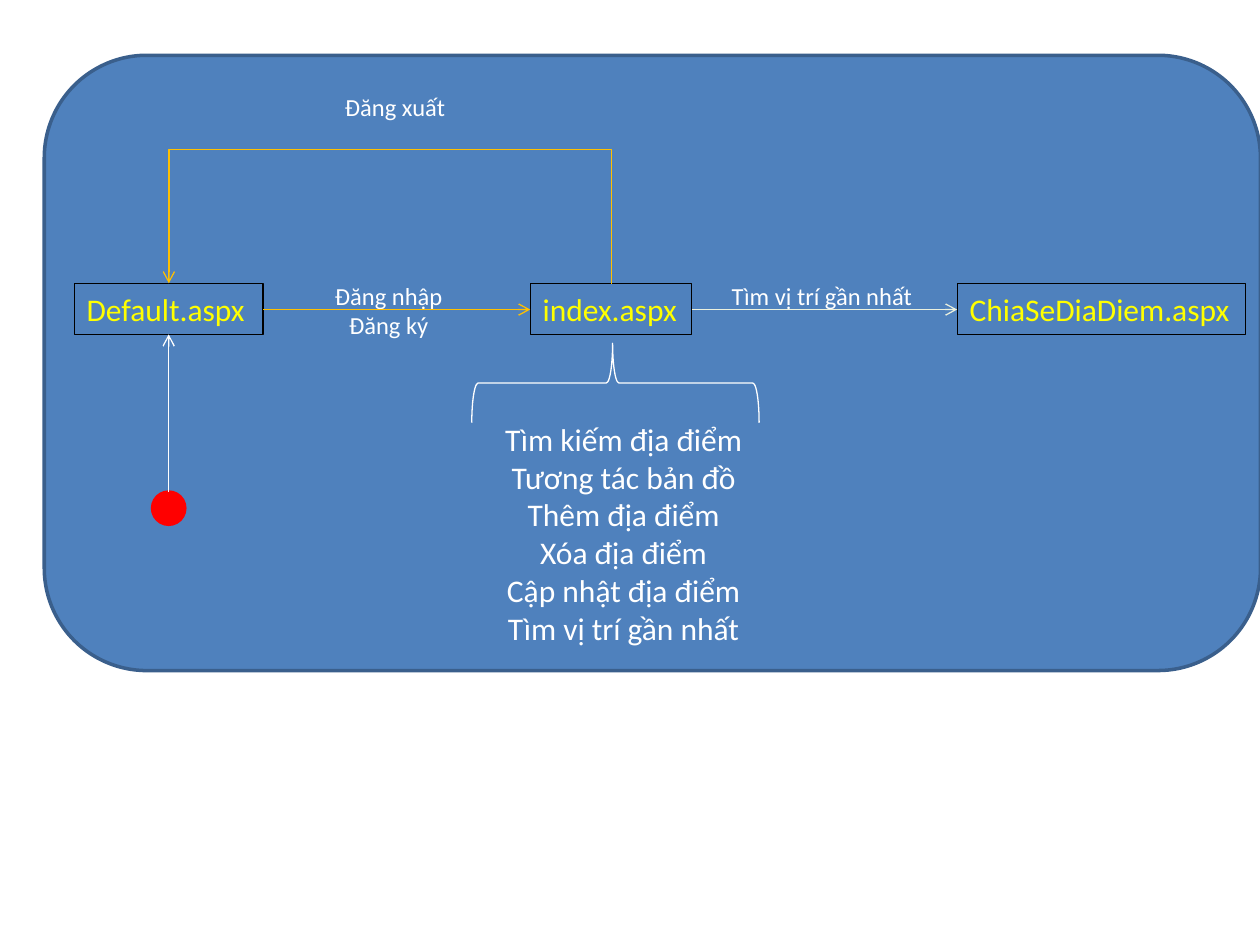
"""Build the page navigation diagram of the location sharing site."""
from lxml import etree
from pptx import Presentation, util as u
from pptx.dml import color
from pptx.enum import shapes, text
from pptx.oxml import ns

Pt = u.Pt
COLORS = {"panel": "4F81BD", "panel_edge": "3A5F8C", "page": "FFFF00", "black": "000000",
          "white": "FFFFFF", "account": "FFC000", "nearest": "EBF1DE", "start": "FF0000"}


def add_item(kind, box, lines=(), size=18, ink="white", fill=None, edge=None, weight=0.75, centered=()):
    box = [Pt(value) for value in box]
    if kind is None:
        shape = slide.shapes.add_textbox(*box)
    else:
        shape = slide.shapes.add_shape(kind, *box)
        shape.shadow.inherit = False
    if fill:
        shape.fill.solid()
        shape.fill.fore_color.rgb = color.RGBColor.from_string(COLORS[fill])
    else:
        shape.fill.background()
    if edge:
        shape.line.color.rgb = color.RGBColor.from_string(COLORS[edge])
        shape.line.width = Pt(weight)
    frame = shape.text_frame
    frame.word_wrap = False
    frame.vertical_anchor = text.MSO_ANCHOR.TOP
    for index, line in enumerate(lines):
        paragraph = frame.paragraphs[0] if index == 0 else frame.add_paragraph()
        paragraph.alignment = text.PP_ALIGN.CENTER if index in centered else text.PP_ALIGN.LEFT
        run = paragraph.add_run()
        run.text = line
        run.font.name = "Calibri"
        run.font.size = Pt(size)
        run.font.color.rgb = color.RGBColor.from_string(COLORS[ink])
    return shape


def add_arrow(kind, points, ink):
    connector = slide.shapes.add_connector(kind, *[Pt(value) for value in points])
    connector.line.color.rgb = color.RGBColor.from_string(COLORS[ink])
    connector.line.width = Pt(0.75)
    etree.SubElement(connector.line._get_or_add_ln(), ns.qn("a:tailEnd"), type="arrow")
    etree.SubElement(connector._element.spPr, ns.qn("a:effectLst"))
    return connector


presentation = Presentation()
presentation.slide_width, presentation.slide_height = Pt(720), Pt(540)
slide = presentation.slides.add_slide(presentation.slide_layouts[6])
preset = shapes.MSO_SHAPE
straight, elbow = shapes.MSO_CONNECTOR.STRAIGHT, shapes.MSO_CONNECTOR.ELBOW

add_item(preset.ROUNDED_RECTANGLE, (25.3, 31.6, 695, 351.6), fill="panel", edge="panel_edge", weight=2)

page_top, page_height = 162, 29.1
for name, left, width in (("Default.aspx", 42.4, 108), ("index.aspx", 303, 92.2),
                          ("ChiaSeDiaDiem.aspx", 547, 164.8)):
    add_item(preset.RECTANGLE, (left, page_top, width, page_height), [name], ink="page", edge="black")

for lines, box, centered in ((["Đăng nhập", "Đăng ký"], (184.3, 157, 76.3, 41), (1,)),
                             (["Đăng xuất"], (190, 49, 72.7, 24.5), ()),
                             (["Tìm vị trí gần nhất"], (411, 157, 118.8, 24.5), ())):
    add_item(None, box, lines, size=14, centered=centered)

actions = ["Tìm kiếm địa điểm", "Tương tác bản đồ", "Thêm địa điểm",
           "Xóa địa điểm", "Cập nhật địa điểm", "Tìm vị trí gần nhất"]
add_item(None, (280.8, 236.3, 151.2, 138.2), actions, centered=range(len(actions)))

arrow_y = 176.9
add_arrow(straight, (150.4, arrow_y, 303, arrow_y), "account")
add_arrow(straight, (395.2, arrow_y, 547, arrow_y), "nearest")

start_x, index_x, logout_rise, depth = 96.4, 349.3, 77.2, 0.2
middle_x, half_span = (start_x + index_x) / 2, (index_x - start_x) / 2
logout = add_arrow(elbow, (middle_x, page_top + half_span, middle_x + depth, page_top - half_span), "account")
logout._element.spPr.find(ns.qn("a:xfrm")).set("rot", str(270 * 60000))
guides = logout._element.spPr.find(ns.qn("a:prstGeom")).get_or_add_avLst()
etree.SubElement(guides, ns.qn("a:gd"), name="adj1", fmla=f"val {round(logout_rise / depth * 100000)}")

add_item(preset.OVAL, (87.2, 281.2, 18.4, 18.4), fill="start", edge="start", weight=2)
add_arrow(straight, (start_x, 281.2, start_x, page_top + page_height), "white")

brace = add_item(preset.LEFT_BRACE, (329, 136.8, 45.4, 164.2), edge="white")
brace.rotation = 90
brace.adjustments[0], brace.adjustments[1] = 0.08, 0.51

presentation.save("out.pptx")
